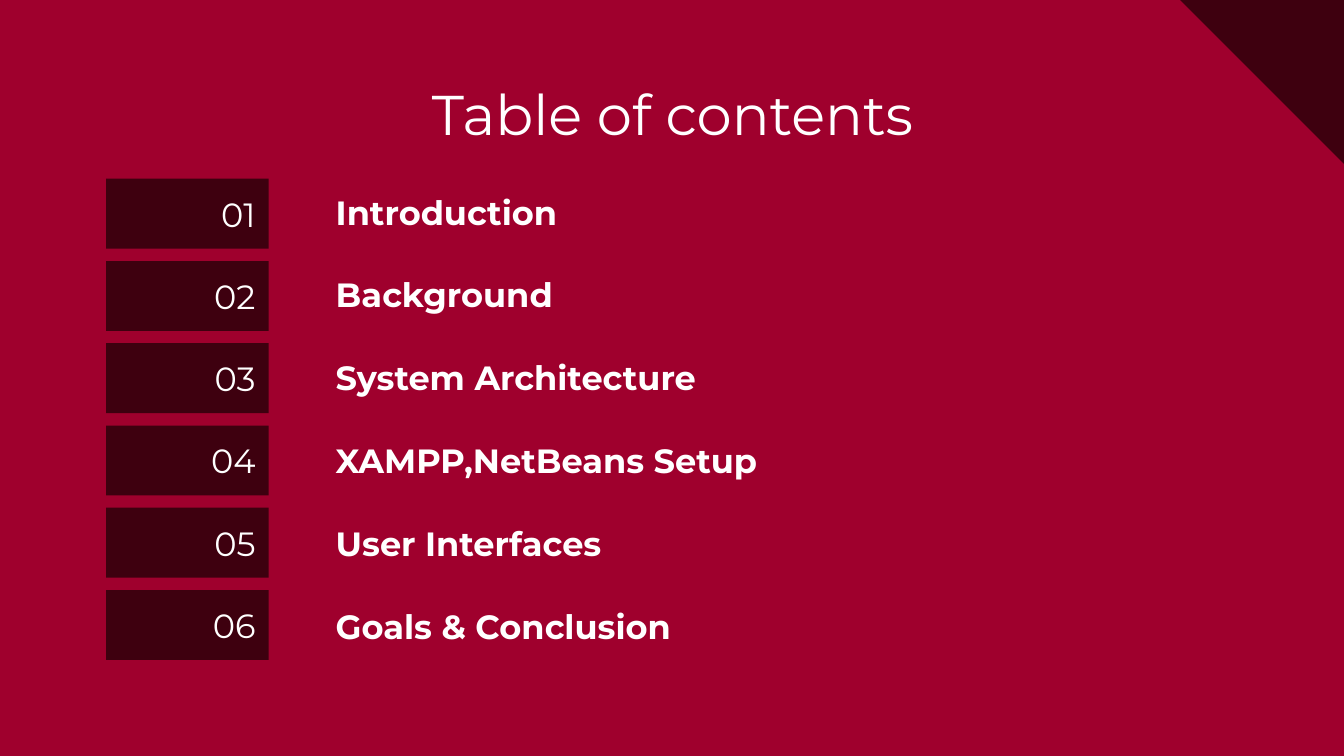
import dataclasses

import pptx
import pptx.dml.color
import pptx.enum.shapes
import pptx.enum.text
import pptx.util

CRIMSON = pptx.dml.color.RGBColor(0x9F, 0x00, 0x2D)
MAROON = pptx.dml.color.RGBColor(0x3E, 0x00, 0x0F)
WHITE = pptx.dml.color.RGBColor(0xFF, 0xFF, 0xFF)
FONT = "Montserrat"
ALIGN = pptx.enum.text.PP_ALIGN
ANCHOR = pptx.enum.text.MSO_ANCHOR
SHAPE = pptx.enum.shapes.MSO_SHAPE

PAGE_WIDTH = 10
PAGE_HEIGHT = PAGE_WIDTH * 9 / 16
CORNER = 1.22
ENTRIES = (
    "Introduction",
    "Background",
    "System Architecture",
    "XAMPP,NetBeans Setup",
    "User Interfaces",
    "Goals & Conclusion",
)


@dataclasses.dataclass(frozen=True)
class Column:
    """A column of equal cells, spaced evenly from first to last top."""
    left: float
    width: float
    height: float
    first_top: float
    last_top: float

    def cell(self, row: int) -> list[pptx.util.Length]:
        pitch = (self.last_top - self.first_top) / (len(ENTRIES) - 1)
        return inches(self.left, self.first_top + row * pitch, self.width, self.height)


NUMBERS = Column(left=0.79, width=1.21, height=0.52, first_top=1.33, last_top=4.39)
NAMES = Column(left=2.23, width=5.74, height=0.53, first_top=1.31, last_top=4.39)


def inches(*values: float) -> list[pptx.util.Length]:
    return [pptx.util.Inches(value) for value in values]


def set_all(target, values: dict) -> None:
    for name, value in values.items():
        setattr(target, name, value)


def write(box, text: str, size: int, align, anchor, bold: bool = False) -> None:
    frame = box.text_frame
    margin = pptx.util.Inches(0.1)
    set_all(frame, {
        "text": text, "word_wrap": True, "vertical_anchor": anchor,
        "auto_size": pptx.enum.text.MSO_AUTO_SIZE.NONE,
        "margin_left": margin, "margin_right": margin,
        "margin_top": margin, "margin_bottom": margin,
    })
    para = frame.paragraphs[0]
    para.alignment = align
    span = para.runs[0]
    set_all(span.font, {"name": FONT, "size": pptx.util.Pt(size), "bold": bold})
    span.font.color.rgb = WHITE


def add_block(page, kind, place: list[pptx.util.Length]):
    """Add a plain maroon shape without outline or shadow."""
    block = page.shapes.add_shape(kind, *place)
    block.shadow.inherit = False
    block.fill.solid()
    block.fill.fore_color.rgb = MAROON
    block.line.fill.background()
    return block


def add_entry(page, row: int, name: str) -> None:
    number = add_block(page, SHAPE.RECTANGLE, NUMBERS.cell(row))
    write(number, f"{row + 1:02}", 18, ALIGN.RIGHT, ANCHOR.MIDDLE)
    label = page.shapes.add_textbox(*NAMES.cell(row))
    write(label, name, 18, ALIGN.LEFT, ANCHOR.MIDDLE, bold=True)
    properties = label.text_frame.paragraphs[0]._p.get_or_add_pPr()
    properties.set("marL", str(pptx.util.Inches(0.5)))
    properties.set("indent", str(pptx.util.Inches(-0.33)))


def main() -> None:
    deck = pptx.Presentation()
    deck.slide_width, deck.slide_height = inches(PAGE_WIDTH, PAGE_HEIGHT)
    page = deck.slides.add_slide(deck.slide_layouts.get_by_name("Title Only"))
    page.background.fill.solid()
    page.background.fill.fore_color.rgb = CRIMSON

    corner = add_block(page, SHAPE.RIGHT_TRIANGLE,
                       inches(PAGE_WIDTH - CORNER, 0, CORNER, CORNER))
    corner.rotation = 180

    title = page.shapes.title
    left, top, width, height = inches(0.79, 0.49, 8.43, 0.63)
    set_all(title, {"left": left, "top": top, "width": width, "height": height})
    write(title, "Table of contents", 30, ALIGN.CENTER, ANCHOR.TOP)

    for row, name in enumerate(ENTRIES):
        add_entry(page, row, name)
    deck.save("out.pptx")


if __name__ == "__main__":
    main()
